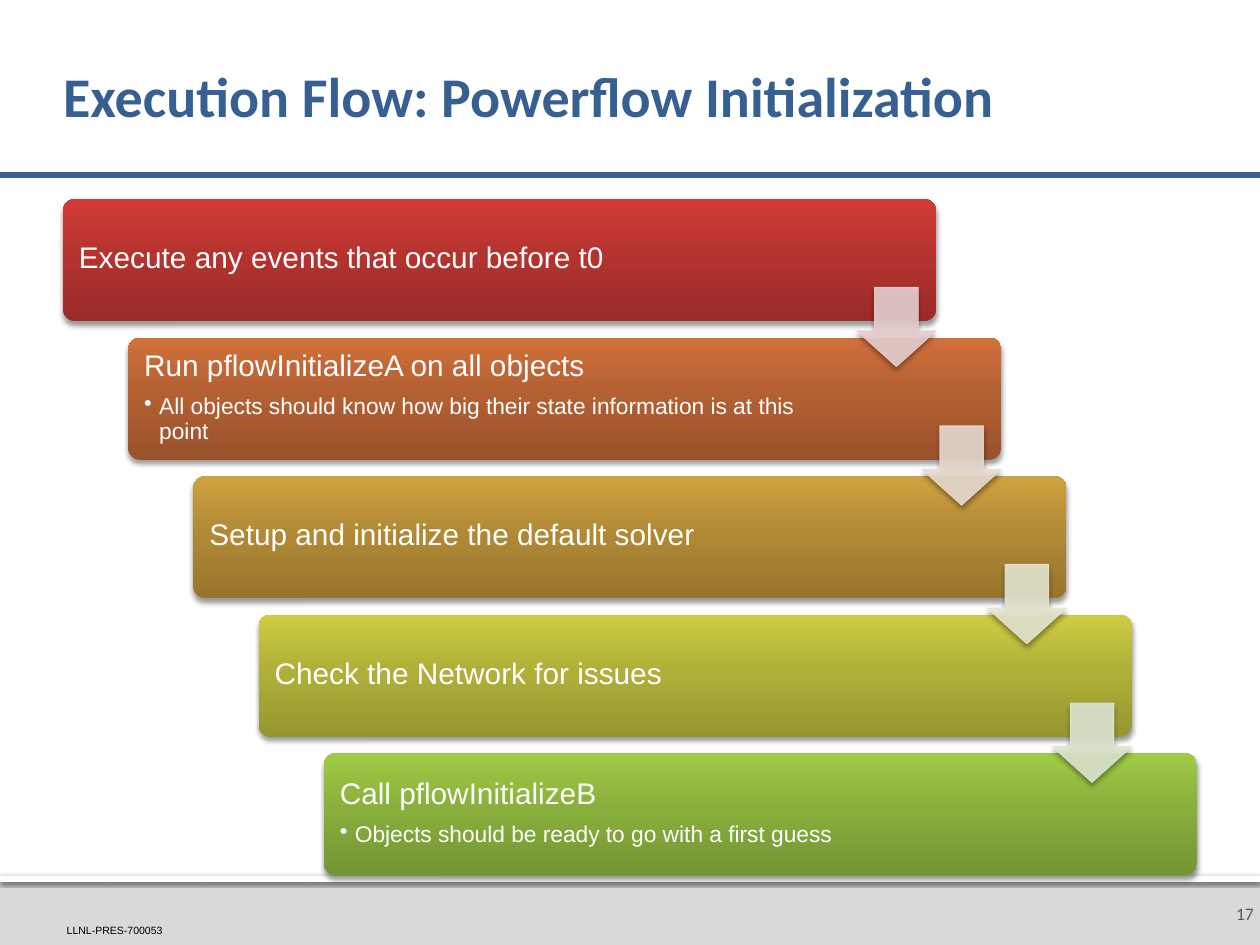
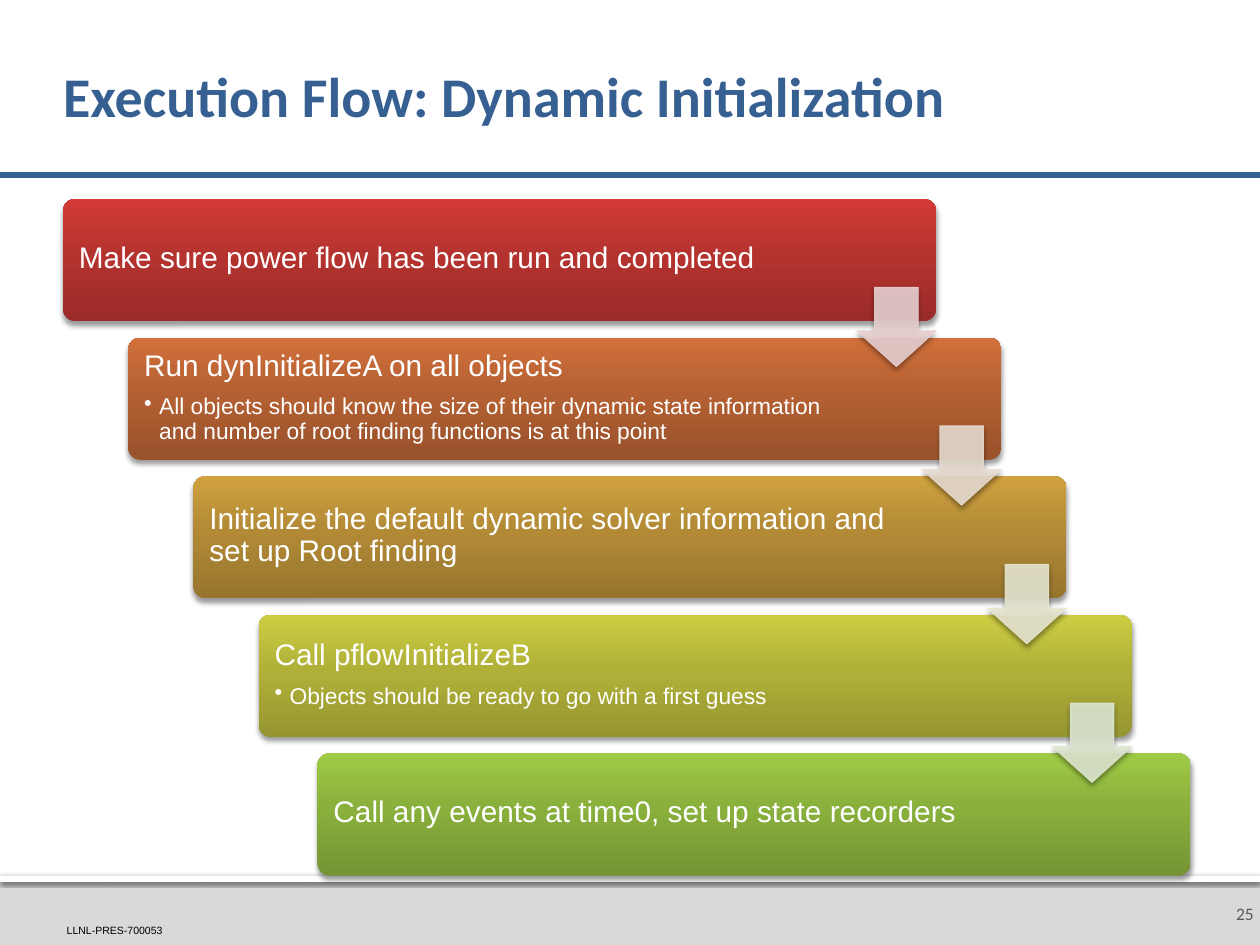
from dataclasses import dataclass

from lxml.etree import SubElement
from pptx import Presentation
from pptx.dml.color import RGBColor
from pptx.enum.shapes import MSO_CONNECTOR, MSO_SHAPE
from pptx.enum.text import MSO_ANCHOR, PP_ALIGN
from pptx.oxml import parse_xml
from pptx.oxml.ns import nsdecls, qn
from pptx.shapes.autoshape import Shape
from pptx.slide import Slide
from pptx.text.text import TextFrame, _Paragraph
from pptx.util import Inches, Pt

COLORS = {
    "blue": "376092",
    "footer": "D9D9D9",
    "white": "FFFFFF",
    "black": "000000",
    "page": "595959",
}
CARD_GRADIENTS = [
    ("9A2B28", "B5332F", "D33B37"),
    ("99522B", "B46033", "D1703B"),
    ("97752E", "B28A36", "CFA13F"),
    ("969631", "B0B039", "CDCD43"),
    ("759433", "89AF3C", "A0CB46"),
]
GRADIENT_POSITIONS = (0, 55, 100)
ARROW_COLORS = ["E8D0D0", "E8DCD0", "E7E6D1", "DEE7D1"]

FLOW_LEFT, FLOW_TOP, FLOW_WIDTH = 0.5, 1.58, 9.0
CARD_WIDTH, CARD_HEIGHT = 6.93, 0.97
STEP_X = (FLOW_WIDTH - CARD_WIDTH) / (len(CARD_GRADIENTS) - 1)
STEP_Y = 1.1
ARROW_SIZE, ARROW_DROP = 0.63, 0.7


@dataclass(frozen=True)
class Step:
    heading: str
    detail: str = ""
    shift: float = 0.0


@dataclass(frozen=True)
class FlowSlide:
    title: str
    page: str
    steps: list[Step]


@dataclass(frozen=True)
class Shadow:
    alpha: int
    blur: float
    distance: float


CARD_SHADOW = Shadow(38, 3.1, 2)
STRIP_SHADOW = Shadow(60, 2.5, 0.8)

FLOW_SLIDES = [
    FlowSlide("Execution Flow: Powerflow Initialization", "17", [
        Step("Execute any events that occur before t0"),
        Step("Run pflowInitializeA on all objects",
             "All objects should know how big their state information is at this point"),
        Step("Setup and initialize the default solver"),
        Step("Check the Network for issues"),
        Step("Call pflowInitializeB", "Objects should be ready to go with a first guess"),
    ]),
    FlowSlide("Execution Flow: Dynamic Initialization", "25", [
        Step("Make sure power flow has been run and completed"),
        Step("Run dynInitializeA on all objects",
             "All objects should know the size of their dynamic state information "
             "and number of root finding functions is at this point"),
        Step("Initialize the default dynamic solver information and set up Root finding"),
        Step("Call pflowInitializeB", "Objects should be ready to go with a first guess"),
        Step("Call any events at time0, set up state recorders", shift=-0.05),
    ]),
]


def rgb(color: str) -> RGBColor:
    return RGBColor.from_string(color)


def add_run(paragraph: _Paragraph, text: str, size: float, color: str,
            font: str = "Arial", bold: bool = False) -> None:
    run = paragraph.add_run()
    run.text = text
    run.font.name = font
    run.font.size = Pt(size)
    run.font.bold = bold
    run.font.color.rgb = rgb(color)


def set_frame(frame: TextFrame, anchor: MSO_ANCHOR, left: float, top: float,
              right: float, bottom: float) -> None:
    frame.word_wrap = True
    frame.vertical_anchor = anchor
    frame.margin_left, frame.margin_top = Inches(left), Inches(top)
    frame.margin_right, frame.margin_bottom = Inches(right), Inches(bottom)


def add_block(slide: Slide, kind: MSO_SHAPE, left: float, top: float,
              width: float, height: float) -> Shape:
    block = slide.shapes.add_shape(
        kind, Inches(left), Inches(top), Inches(width), Inches(height))
    block.shadow.inherit = False
    block.line.fill.background()
    return block


def cast_shadow(block: Shape, shadow: Shadow) -> None:
    effects = block._element.spPr.find(qn("a:effectLst"))
    outer = SubElement(effects, qn("a:outerShdw"), blurRad=str(Pt(shadow.blur)),
                       dist=str(Pt(shadow.distance)), dir="5400000", rotWithShape="0")
    color = SubElement(outer, qn("a:srgbClr"), val=COLORS["black"])
    SubElement(color, qn("a:alpha"), val=str(shadow.alpha * 1000))


def fill_gradient(block: Shape, colors: tuple[str, ...]) -> None:
    block.fill.gradient()
    block.fill.gradient_angle = 90
    gradient = block._element.spPr.find(qn("a:gradFill"))
    stops = "".join(
        f'<a:gs pos="{position * 1000}"><a:srgbClr val="{color}"/></a:gs>'
        for position, color in zip(GRADIENT_POSITIONS, colors))
    gradient.replace(gradient.find(qn("a:gsLst")),
                     parse_xml(f'<a:gsLst {nsdecls("a")}>{stops}</a:gsLst>'))


def add_bullet(paragraph: _Paragraph) -> None:
    properties = paragraph._p.get_or_add_pPr()
    properties.set("marL", str(Inches(0.12)))
    properties.set("indent", str(Inches(-0.12)))
    SubElement(properties, qn("a:buChar"), char="•")


def add_card(slide: Slide, index: int, step: Step) -> None:
    card = add_block(slide, MSO_SHAPE.ROUNDED_RECTANGLE,
                     FLOW_LEFT + index * STEP_X + step.shift,
                     FLOW_TOP + index * STEP_Y, CARD_WIDTH, CARD_HEIGHT)
    card.adjustments[0] = 0.1
    fill_gradient(card, CARD_GRADIENTS[index])
    cast_shadow(card, CARD_SHADOW)
    frame = card.text_frame
    set_frame(frame, MSO_ANCHOR.MIDDLE, 0.1, 0.09, 1.24, 0.11)
    heading = frame.paragraphs[0]
    heading.alignment = PP_ALIGN.LEFT
    heading.line_spacing = 0.9
    add_run(heading, step.heading, 17, COLORS["white"])
    if step.detail:
        heading.space_after = Pt(7)
        detail = frame.add_paragraph()
        add_bullet(detail)
        detail.level = 1
        detail.alignment = PP_ALIGN.LEFT
        detail.line_spacing = 0.9
        add_run(detail, step.detail, 13, COLORS["white"])


def add_arrow(slide: Slide, index: int, color: str) -> None:
    card_right = FLOW_LEFT + index * STEP_X + CARD_WIDTH
    arrow = add_block(slide, MSO_SHAPE.DOWN_ARROW, card_right - ARROW_SIZE,
                      FLOW_TOP + index * STEP_Y + ARROW_DROP, ARROW_SIZE, ARROW_SIZE)
    arrow.adjustments[0], arrow.adjustments[1] = 0.55, 0.45
    arrow.fill.solid()
    arrow.fill.fore_color.rgb = rgb(color)
    arrow.line.color.rgb = rgb(color)
    arrow.line.width = Pt(0.5)
    for tint in arrow._element.spPr.iter(qn("a:srgbClr")):
        SubElement(tint, qn("a:alpha"), val="90000")
    cast_shadow(arrow, CARD_SHADOW)


def add_band(slide: Slide, height: float, color: str) -> Shape:
    band = add_block(slide, MSO_SHAPE.RECTANGLE, 0, 6.95, 10, height)
    band.fill.solid()
    band.fill.fore_color.rgb = rgb(color)
    return band


def add_frame(slide: Slide, page: str) -> None:
    add_band(slide, 0.55, COLORS["footer"])
    cast_shadow(add_band(slide, 0.05, COLORS["white"]), STRIP_SHADOW)

    document_id = slide.shapes.add_textbox(
        Inches(0.53), Inches(7.33), Inches(0.96), Inches(0.1)).text_frame
    set_frame(document_id, MSO_ANCHOR.BOTTOM, 0, 0, 0, 0)
    add_run(document_id.paragraphs[0], "LLNL-PRES-700053", 6, COLORS["black"])

    page_number = slide.shapes.add_textbox(
        Inches(9.65), Inches(7), Inches(0.35), Inches(0.5)).text_frame
    set_frame(page_number, MSO_ANCHOR.MIDDLE, 0.1, 0.05, 0.05, 0.05)
    page_number.paragraphs[0].alignment = PP_ALIGN.RIGHT
    add_run(page_number.paragraphs[0], page, 10, COLORS["page"], "Calibri")

    title_rule = slide.shapes.add_connector(
        MSO_CONNECTOR.STRAIGHT, Inches(-0.01), Inches(1.39), Inches(10), Inches(1.39))
    title_rule.line.color.rgb = rgb(COLORS["blue"])
    title_rule.line.width = Pt(3)
    SubElement(title_rule._element.spPr, qn("a:effectLst"))


def set_title(slide: Slide, text: str) -> None:
    title = slide.shapes.title
    title.left, title.top = Inches(0.5), Inches(0.24)
    title.width, title.height = Inches(9), Inches(1.1)
    set_frame(title.text_frame, MSO_ANCHOR.MIDDLE, 0, 0.05, 0.05, 0.05)
    heading = title.text_frame.paragraphs[0]
    heading.alignment = PP_ALIGN.LEFT
    heading.line_spacing = 0.9
    add_run(heading, text, 32, COLORS["blue"], "Calibri", bold=True)


def main() -> None:
    deck = Presentation()
    deck.slide_width, deck.slide_height = Inches(10), Inches(7.5)
    title_only = deck.slide_layouts[5]
    for flow in FLOW_SLIDES:
        slide = deck.slides.add_slide(title_only)
        set_title(slide, flow.title)
        add_frame(slide, flow.page)
        for index, step in enumerate(flow.steps):
            add_card(slide, index, step)
        for index, color in enumerate(ARROW_COLORS):
            add_arrow(slide, index, color)
    deck.save("out.pptx")


if __name__ == "__main__":
    main()
